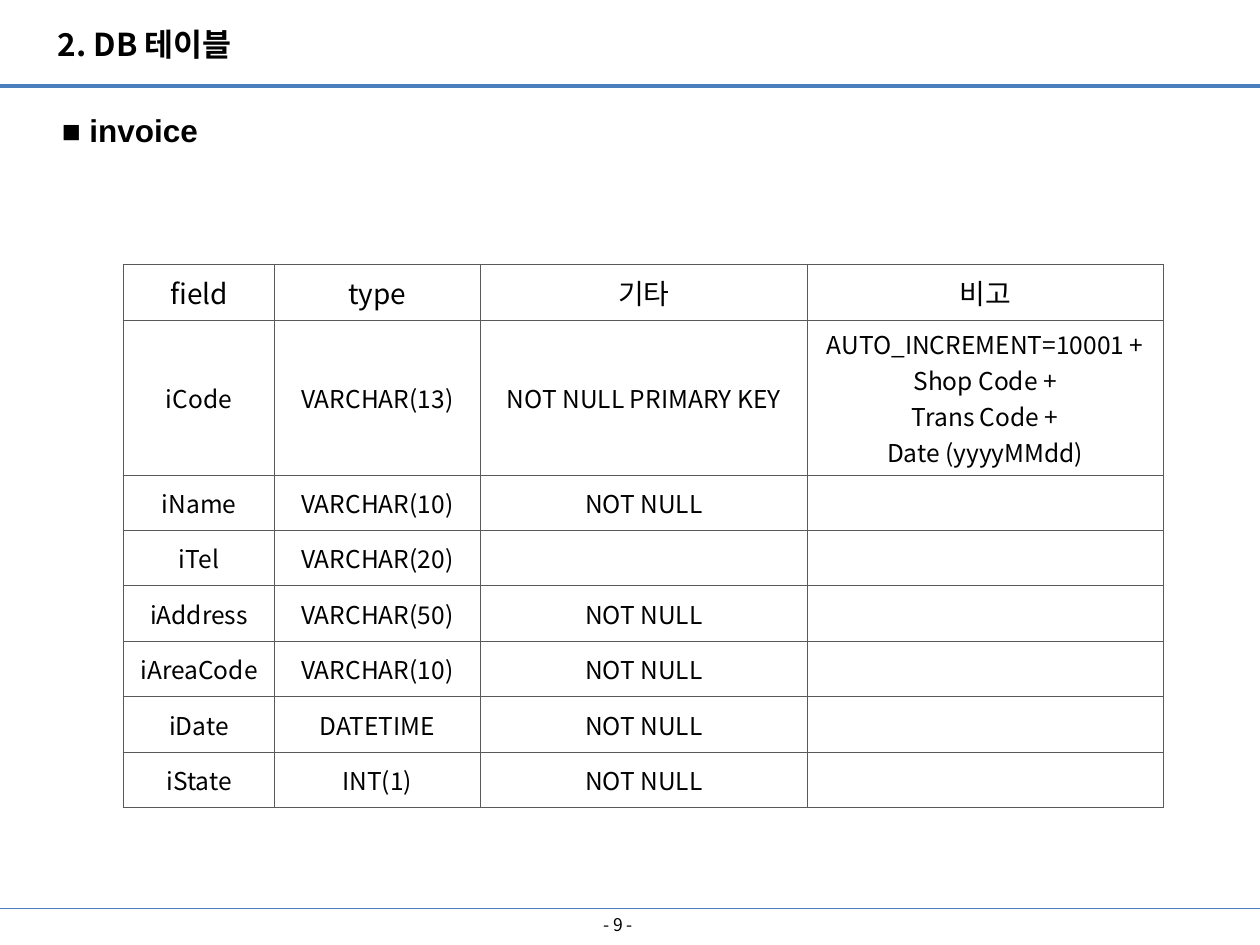
from dataclasses import dataclass

from lxml.etree import SubElement
from pptx import Presentation
from pptx.dml.color import RGBColor
from pptx.enum.shapes import MSO_CONNECTOR
from pptx.enum.text import MSO_ANCHOR, MSO_AUTO_SIZE, PP_ALIGN
from pptx.oxml.ns import qn
from pptx.util import Inches, Pt

TITLE = "2. DB 테이블"
SUBJECT = "■ invoice"
PAGE_NUMBER = "- 9 -"
HEADERS = ("field", "type", "기타", "비고")
CODE_NOTE = "AUTO_INCREMENT=10001 +\nShop Code +\nTrans Code +\nDate (yyyyMMdd)"
FIELDS = [
    ("iCode", "VARCHAR(13)", "NOT NULL PRIMARY KEY", CODE_NOTE),
    ("iName", "VARCHAR(10)", "NOT NULL", ""),
    ("iTel", "VARCHAR(20)", "", ""),
    ("iAddress", "VARCHAR(50)", "NOT NULL", ""),
    ("iAreaCode", "VARCHAR(10)", "NOT NULL", ""),
    ("iDate", "DATETIME", "NOT NULL", ""),
    ("iState", "INT(1)", "NOT NULL", ""),
]
COLUMN_WIDTHS = (1.2, 1.63, 2.6, 2.82)
ROW_HEIGHT, NOTE_ROW_HEIGHT = 0.44, 1.23
RULES = [(0.68, 2.25), (7.21, 0.75)]  # top in inches, weight in points


@dataclass(frozen=True)
class Theme:
    """Colours, fonts and type sizes of the slide."""
    text: str = "000000"
    rule: str = "4B7EBC"
    border: str = "595959"
    border_weight: float = 0.5
    font: str = "Noto Sans CJK KR"
    subject_font: str = "Arial"
    heading_size: int = 18
    header_size: int = 16
    cell_size: int = 14
    page_size: int = 10


THEME = Theme()


def style_text(frame, size, align, font=THEME.font, bold=False):
    """Format every paragraph of a text frame alike."""
    for para in frame.paragraphs:
        para.alignment = align
        para.font.name = font
        para.font.size = Pt(size)
        para.font.bold = bold
        para.font.color.rgb = RGBColor.from_string(THEME.text)
        latin = para.font._element.find(qn("a:latin"))
        east_asian = latin.makeelement(qn("a:ea"), {"typeface": font})
        latin.addnext(east_asian)


def place(shape, left, top, width, height):
    """Set a shape's position and size in inches."""
    shape.left, shape.top = Inches(left), Inches(top)
    shape.width, shape.height = Inches(width), Inches(height)


def fill_heading(box, text, bounds, font):
    """Turn a placeholder into a bold, left-aligned heading."""
    place(box, *bounds)
    frame = box.text_frame
    frame.text = text
    frame.word_wrap = False
    frame.auto_size = MSO_AUTO_SIZE.SHAPE_TO_FIT_TEXT
    frame.vertical_anchor = MSO_ANCHOR.TOP
    style_text(frame, THEME.heading_size, PP_ALIGN.LEFT, font, bold=True)
    return frame.paragraphs[0]


def remove_bullet(para):
    """Drop the list bullet and its hanging indent."""
    properties = para._p.get_or_add_pPr()
    properties.set("marL", "0")
    properties.set("indent", "0")
    no_bullet = properties.makeelement(qn("a:buNone"), {})
    properties.find(qn("a:defRPr")).addprevious(no_bullet)


def add_rule(page, top, weight):
    """Draw a line across the full slide width."""
    rule = page.shapes.add_connector(
        MSO_CONNECTOR.STRAIGHT, 0, Inches(top), Inches(10), Inches(top))
    rule.line.color.rgb = RGBColor.from_string(THEME.rule)
    rule.line.width = Pt(weight)
    SubElement(rule._element.spPr, qn("a:effectLst"))


def border_cell(cell):
    """Give a cell thin borders on all four sides."""
    properties = cell._tc.get_or_add_tcPr()
    for index, side in enumerate(("lnL", "lnR", "lnT", "lnB")):
        line = properties.makeelement(
            qn(f"a:{side}"), {"w": str(Pt(THEME.border_weight))})
        solid = SubElement(line, qn("a:solidFill"))
        SubElement(solid, qn("a:srgbClr"), {"val": THEME.border})
        properties.insert(index, line)


def add_field_table(page):
    """Build the table of database fields."""
    rows = [HEADERS, *FIELDS]
    heights = [NOTE_ROW_HEIGHT if CODE_NOTE in row else ROW_HEIGHT for row in rows]
    table = page.shapes.add_table(
        len(rows), len(HEADERS), Inches(0.98), Inches(2.1),
        Inches(sum(COLUMN_WIDTHS)), Inches(sum(heights))).table
    table.first_row = table.horz_banding = False
    for column, width in zip(table.columns, COLUMN_WIDTHS):
        column.width = Inches(width)
    for row_index, (values, height) in enumerate(zip(rows, heights)):
        table.rows[row_index].height = Inches(height)
        size = THEME.cell_size if row_index else THEME.header_size
        for column_index, value in enumerate(values):
            cell = table.cell(row_index, column_index)
            cell.text = value
            cell.vertical_anchor = MSO_ANCHOR.MIDDLE
            cell.fill.background()
            border_cell(cell)
            style_text(cell.text_frame, size, PP_ALIGN.CENTER)


def add_page_number(page):
    """Write the page number below the lower rule."""
    box = page.shapes.add_textbox(
        Inches(3.74), Inches(7.21), Inches(2.33), Inches(0.26))
    frame = box.text_frame
    frame.text = PAGE_NUMBER
    frame.word_wrap = True
    frame.vertical_anchor = MSO_ANCHOR.MIDDLE
    style_text(frame, THEME.page_size, PP_ALIGN.CENTER)


def build():
    """Create the one-slide deck and save it."""
    deck = Presentation()
    deck.slide_width, deck.slide_height = Inches(10), Inches(7.5)
    page = deck.slides.add_slide(deck.slide_layouts[1])
    for top, weight in RULES:
        add_rule(page, top, weight)
    add_page_number(page)
    add_field_table(page)
    subject = fill_heading(page.placeholders[1], SUBJECT,
                           (0.39, 0.68, 1.39, 0.51), THEME.subject_font)
    subject.line_spacing = 1.5
    subject.space_before = Pt(0)
    remove_bullet(subject)
    fill_heading(page.shapes.title, TITLE, (0.36, 0.15, 1.7, 0.4), THEME.font)
    deck.save("out.pptx")


build()
